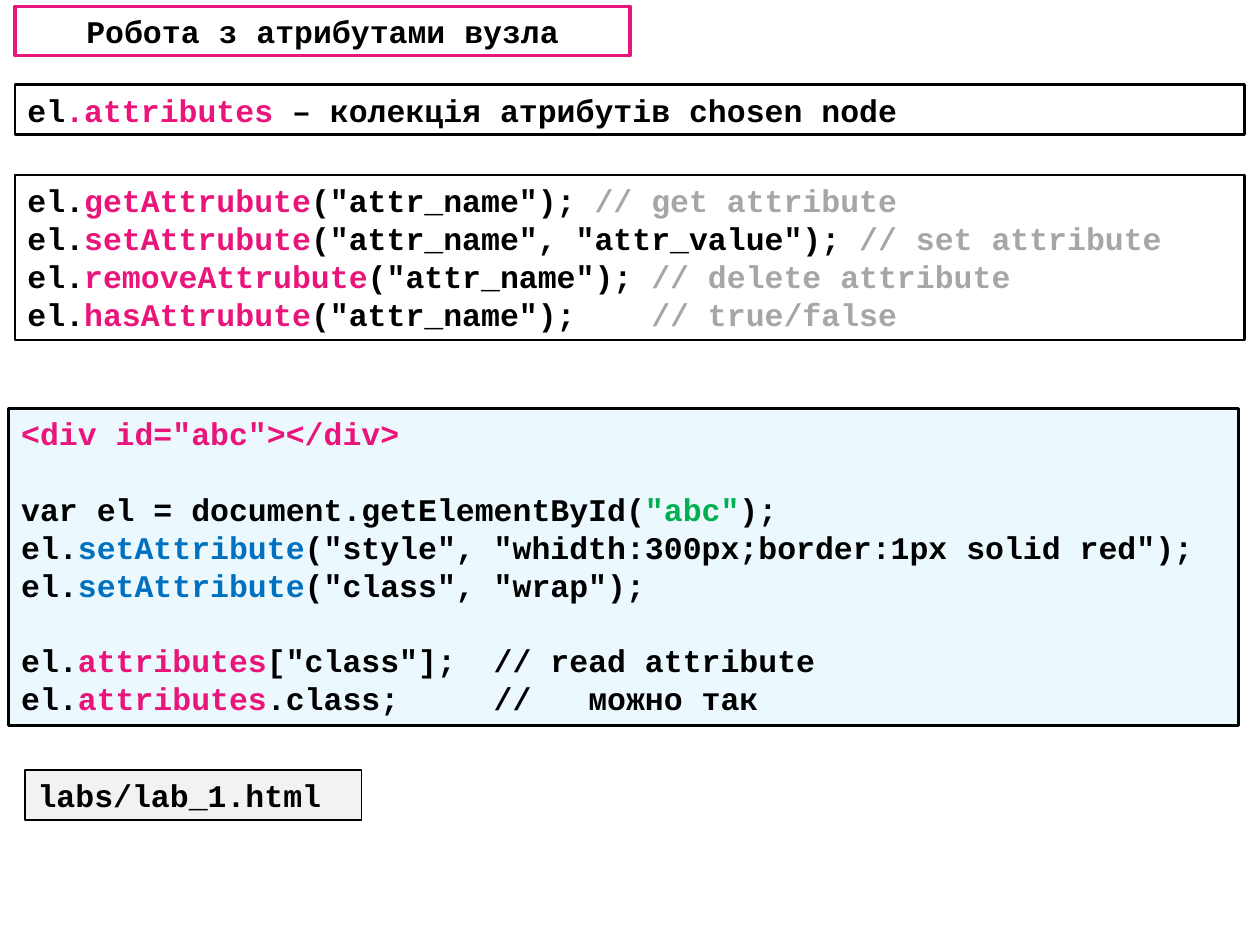
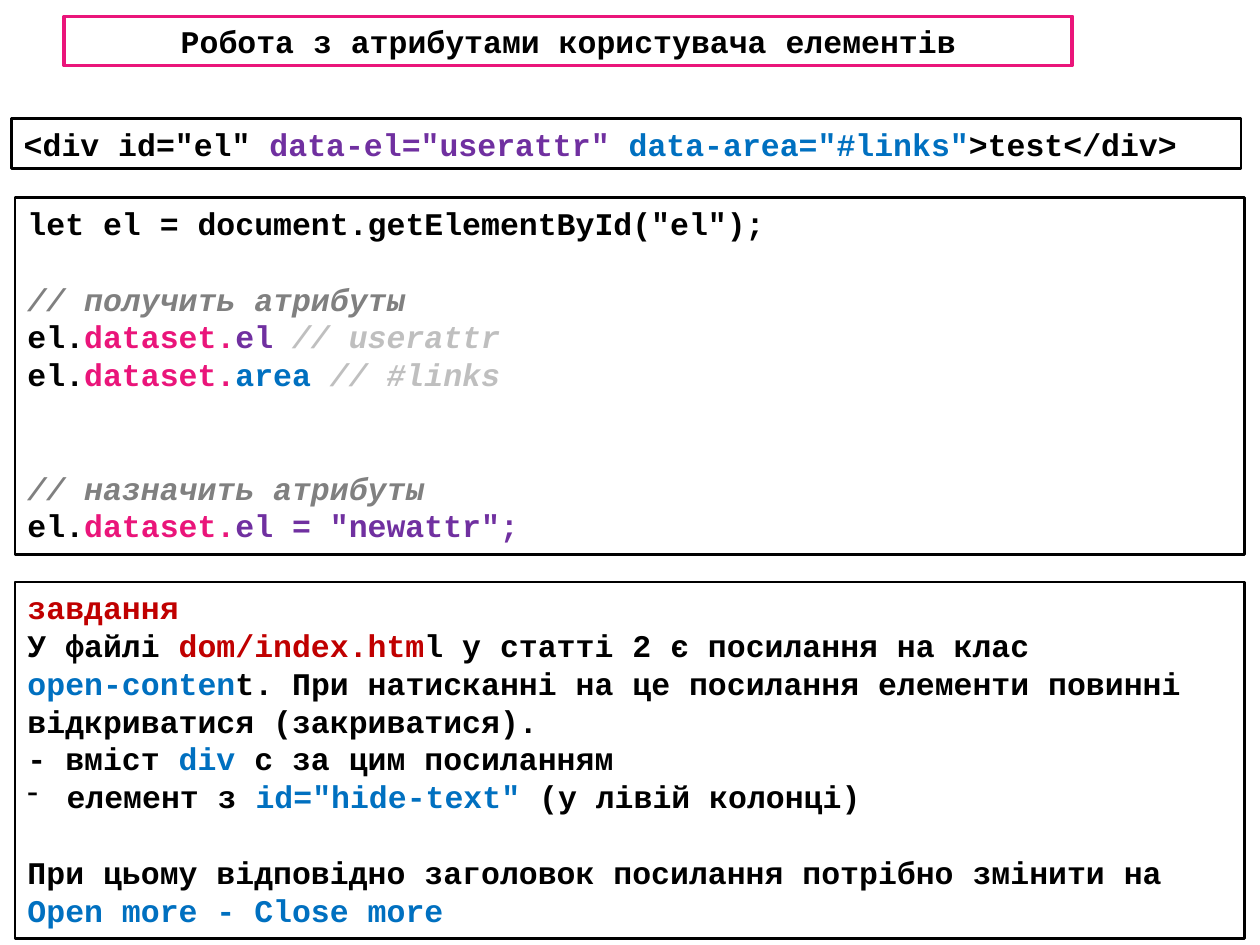
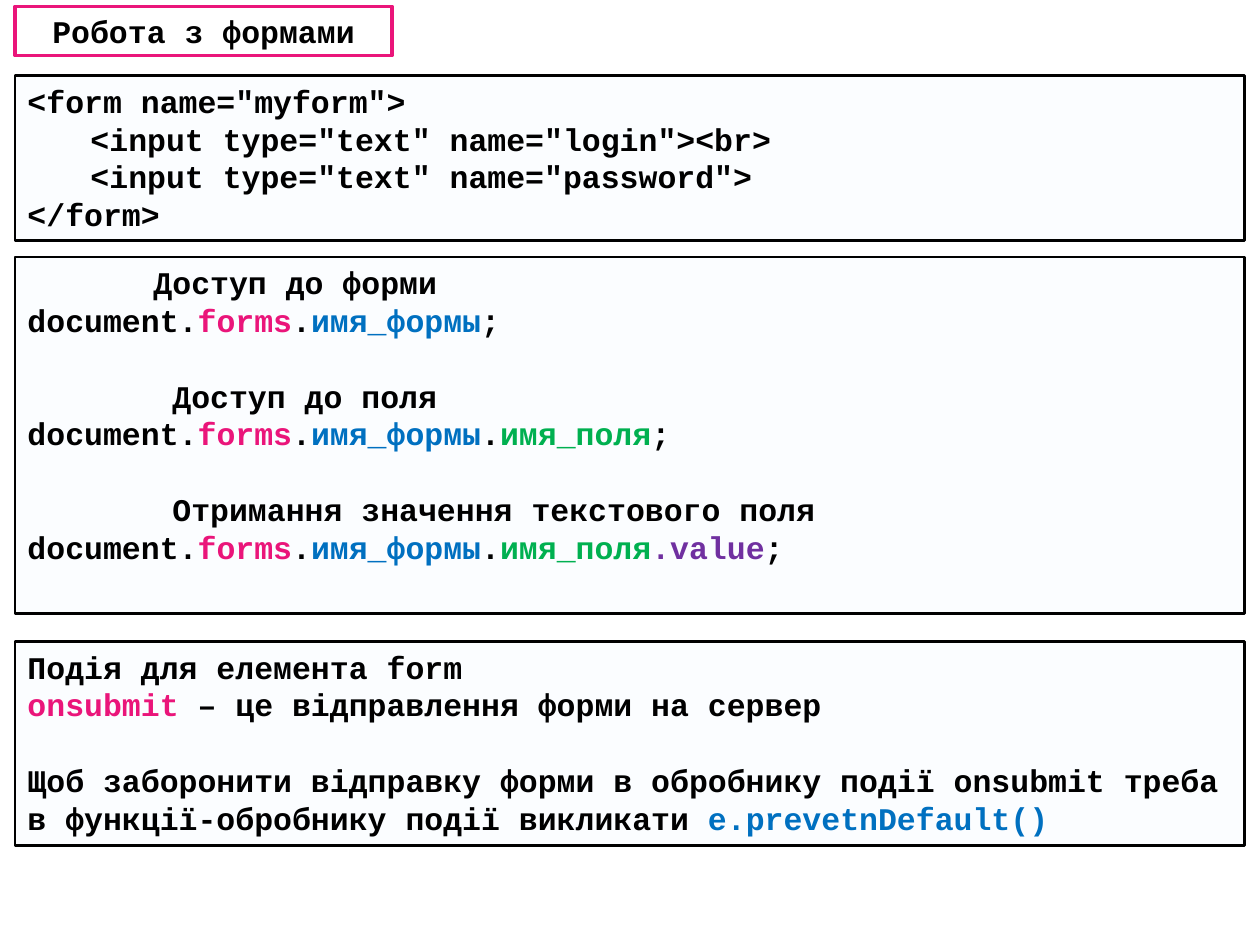
from lxml import etree
from pptx import Presentation
from pptx.dml.color import RGBColor
from pptx.enum.text import MSO_ANCHOR, MSO_AUTO_SIZE, PP_ALIGN
from pptx.oxml.ns import qn
from pptx.util import Inches, Pt

CENTER = PP_ALIGN.CENTER
TOP = MSO_ANCHOR.TOP
MIDDLE = MSO_ANCHOR.MIDDLE
FIXED = MSO_AUTO_SIZE.NONE

WHITE = RGBColor(0xFF, 0xFF, 0xFF)
BLACK = RGBColor(0x00, 0x00, 0x00)
PINK = RGBColor(0xEA, 0x15, 0x7A)
BLUE = RGBColor(0x00, 0x70, 0xC0)
GREEN = RGBColor(0x00, 0xB0, 0x50)
PURPLE = RGBColor(0x70, 0x30, 0xA0)
RED = RGBColor(0xC0, 0x00, 0x00)
SKY = RGBColor(0x00, 0xB0, 0xF0)
ICE = RGBColor(0xD6, 0xEC, 0xFF)
CLOUD = RGBColor(0xF2, 0xF2, 0xF2)
ASH = RGBColor(0xA6, 0xA6, 0xA6)
GRAY = RGBColor(0x80, 0x80, 0x80)
PALE = RGBColor(0xBF, 0xBF, 0xBF)
SLANTED = (GRAY, PALE)

FONT = "Courier New"
SIZE = Pt(18)
PITCH = 21.6
LEFT = 0.12
WIDTH = 9.76
HANG = 0.31


def line(*parts, gap=0, indent=0, bullet=None):
    return parts, gap, indent, bullet


def style(run, ink):
    font = run.font
    font.name = FONT
    font.size = SIZE
    font.bold = True
    font.italic = ink in SLANTED
    font.color.rgb = ink


def set_indent(para, indent, bullet):
    props = para._p.get_or_add_pPr()
    props.set("marL", str(Inches(indent)))
    if bullet:
        props.set("indent", str(-Inches(indent)))
        etree.SubElement(props, qn("a:buChar")).set("char", bullet)


def write(frame, lines):
    for index, (parts, gap, indent, bullet) in enumerate(lines):
        para = frame.add_paragraph() if index else frame.paragraphs[0]
        para.line_spacing = Pt(PITCH)
        if gap:
            para.space_before = Pt(gap * PITCH)
        if indent:
            set_indent(para, indent, bullet)
        for part in parts:
            text, ink = (part, BLACK) if isinstance(part, str) else part
            run = para.add_run()
            run.text = text
            style(run, ink)


def place(shape, left, top, width, height):
    shape.left, shape.top = Inches(left), Inches(top)
    shape.width, shape.height = Inches(width), Inches(height)


def frame_up(shape, ink, weight, anchor):
    shape.line.color.rgb = ink
    shape.line.width = Pt(weight)
    frame = shape.text_frame
    frame.word_wrap = True
    frame.auto_size = FIXED
    frame.vertical_anchor = anchor
    return frame


def add_slide(deck, title, left, top, width):
    slide = deck.slides.add_slide(deck.slide_layouts.get_by_name("Title Only"))
    shape = slide.shapes.title
    place(shape, left, top, width, 0.39)
    shape.fill.solid()
    shape.fill.fore_color.rgb = WHITE
    frame = frame_up(shape, PINK, 2, MIDDLE)
    frame.text = title
    para = frame.paragraphs[0]
    para.alignment = CENTER
    style(para.runs[0], BLACK)
    return slide


def add_box(slide, top, height, lines, left=LEFT, width=WIDTH,
            fill=None, alpha=None, weight=1.5):
    box = slide.shapes.add_textbox(
        Inches(left), Inches(top), Inches(width), Inches(height))
    if fill:
        box.fill.solid()
        box.fill.fore_color.rgb = fill
    if alpha:
        color = box._element.spPr.find(".//" + qn("a:srgbClr"))
        etree.SubElement(color, qn("a:alpha")).set("val", str(alpha * 1000))
    write(frame_up(box, BLACK, weight, TOP), lines)


def method(name, args, note):
    return line("el.", (name, PINK), args, (note, ASH))


def data(name, ink, note=""):
    return line("el.", ("dataset.", PINK), (name, ink), (note, PALE))


def access(*tail):
    return line("document.", ("forms", PINK), ".", ("имя_формы", BLUE),
                *tail, ";")


def node_slide(deck):
    slide = add_slide(deck, "Робота з атрибутами вузла", LEFT, 0.05, 4.88)
    add_box(slide, 0.67, 0.4, [
        line("el", (".attributes", PINK),
             " – колекція атрибутів chosen node")])
    add_box(slide, 1.39, 1.31, [
        method("getAttrubute", '("attr_name"); ', "// get attribute"),
        method("setAttrubute", '("attr_name", "attr_value");',
               " // set attribute"),
        method("removeAttrubute", '("attr_name"); ', "// delete attribute"),
        method("hasAttrubute", '("attr_name");   ', " // true/false")])
    add_box(slide, 3.24, 2.52, [
        line(('<div id="abc"></div>', PINK)),
        line("var el = document.getElementById(", ('"abc"', GREEN), ");",
             gap=1),
        line("el.", ("setAttribute", BLUE),
             '("style", "whidth:300px;border:1px solid red");'),
        line("el.", ("setAttribute", BLUE), '("class", "wrap");'),
        line("el.", ("attributes", PINK), '["class"];  // read attribute',
             gap=1),
        line("el.", ("attributes", PINK), ".class;     //   можно так"),
    ], left=0.07, fill=SKY, alpha=8)
    add_box(slide, 6.11, 0.4, [line("labs/lab_1.html")],
            left=0.2, width=2.67, fill=CLOUD, weight=1)


def user_slide(deck):
    slide = add_slide(deck, "Робота з атрибутами користувача елементів",
                      0.51, 0.13, 8)
    add_box(slide, 0.94, 0.4, [
        line('<div id="el" ', ('data-el="userattr" ', PURPLE),
             ('data-area="#links"', BLUE), ">test</div>")], left=0.09)
    add_box(slide, 1.57, 2.83, [
        line('let el = document.getElementById("el");'),
        line(("// получить атрибуты", GRAY), gap=1),
        data("el ", PURPLE, "// userattr"),
        data("area ", BLUE, "// #links"),
        line(("// назначить атрибуты", GRAY), gap=2),
        data('el = "newattr";', PURPLE)])
    add_box(slide, 4.62, 2.83, [
        line(("завдання", RED)),
        line("У файлі ", ("dom/index.htm", RED),
             "l у статті 2 є посилання на клас"),
        line(("open-conten", BLUE),
             "t. При натисканні на це посилання елементи повинні "
             "відкриватися (закриватися)."),
        line("- вміст ", ("div", BLUE), " c за цим посиланням"),
        line("елемент з ", ('id="hide-text" ', BLUE), "(у лівій колонці)",
             indent=HANG, bullet="-"),
        line("При цьому відповідно заголовок посилання потрібно змінити на ",
             ("Open more - Close more", BLUE), gap=1)])


def form_slide(deck):
    slide = add_slide(deck, "Робота з формами", LEFT, 0.05, 2.99)
    field = ("имя_поля", GREEN)
    add_box(slide, 0.6, 1.31, [
        line('<form name="myform">'),
        line('\t<input type="text" name="login"><br>'),
        line('\t<input type="text" name="password">'),
        line("</form>")], fill=ICE, alpha=8)
    add_box(slide, 2.04, 2.83, [
        line("Доступ до форми", indent=1),
        access(),
        line("Доступ до поля", gap=1, indent=1.15),
        access(".", field),
        line("Отримання значення текстового поля", gap=1, indent=1.15),
        access(".", field, (".value", PURPLE))], fill=ICE, alpha=8)
    add_box(slide, 5.09, 1.62, [
        line("Подія для елемента form"),
        line(("onsubmit", PINK), " – це відправлення форми на сервер"),
        line("Щоб заборонити відправку форми в обробнику події onsubmit "
             "треба в функції-обробнику події викликати ",
             ("e.prevetnDefault()", BLUE), gap=1)], fill=ICE, alpha=8)


def main():
    deck = Presentation()
    deck.slide_width, deck.slide_height = Inches(10), Inches(7.5)
    node_slide(deck)
    user_slide(deck)
    form_slide(deck)
    deck.save("out.pptx")


if __name__ == "__main__":
    main()
